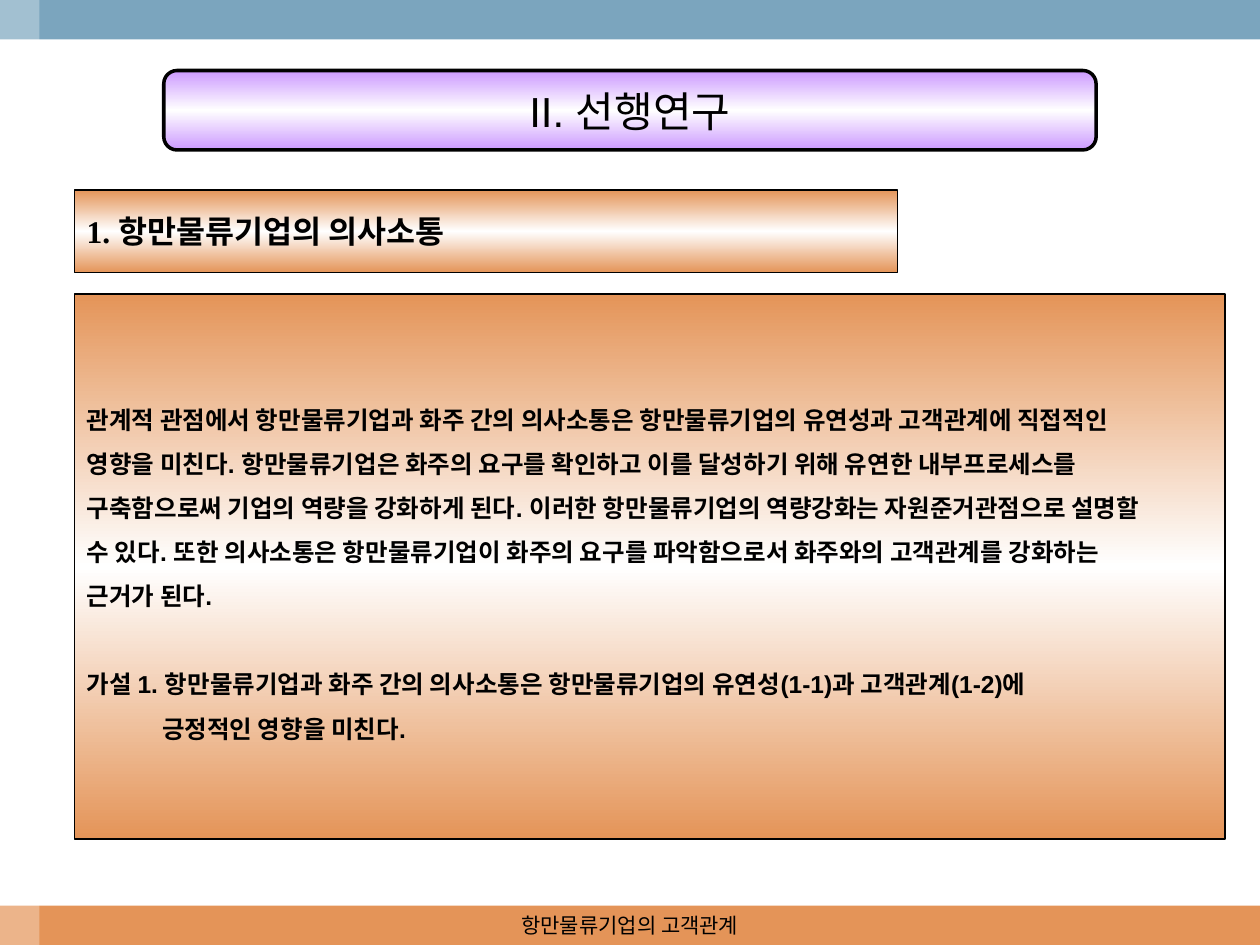
from copy import deepcopy
from dataclasses import dataclass, field

from lxml.etree import SubElement
from pptx import Presentation
from pptx.dml.color import RGBColor
from pptx.enum.shapes import MSO_SHAPE
from pptx.enum.text import MSO_ANCHOR, PP_ALIGN
from pptx.oxml.ns import qn
from pptx.util import Pt

WIDTH, HEIGHT, BAR = 720, 540, 22.5
ORANGE, BLUE, PURPLE, WHITE, BLACK = "E49458", "7BA5BE", "CC99FF", "FFFFFF", "000000"
BODY_LINE_PITCH = 25.2


@dataclass
class Line:
    """A line of text with its paragraph format."""
    text: str
    format: dict = field(default_factory=dict)
    indent: float = 0


@dataclass
class Band:
    """A solid bar along an edge of the slide."""
    box: tuple
    color: str
    opacity: int = 100


@dataclass
class Panel:
    """An outlined gradient panel with text."""
    box: tuple
    edge_color: str
    border: float
    font: dict
    lines: list
    kind: MSO_SHAPE = MSO_SHAPE.RECTANGLE


def rgb(color: str) -> RGBColor:
    """Turn a hex string into a colour."""
    return RGBColor.from_string(color)


def add_shape(slide, kind: MSO_SHAPE, box: tuple):
    """Add a shape without shadow, placed in points."""
    shape = slide.shapes.add_shape(kind, *map(Pt, box))
    shape.shadow.inherit = False
    return shape


def add_band(slide, band: Band) -> None:
    """Draw one edge bar."""
    shape = add_shape(slide, MSO_SHAPE.RECTANGLE, band.box)
    shape.fill.solid()
    shape.fill.fore_color.rgb = rgb(band.color)
    shape.line.fill.background()
    if band.opacity < 100:
        color = shape.element.spPr.find(".//" + qn("a:srgbClr"))
        SubElement(color, qn("a:alpha"), val=str(band.opacity * 1000))


def fill_gradient(shape, edge_color: str) -> None:
    """Fill from the edge colour to white and back, top to bottom."""
    shape.fill.gradient()
    shape.fill.gradient_angle = 90
    stop_list = shape.element.spPr.find(".//" + qn("a:gsLst"))
    stop_list.append(deepcopy(stop_list[0]))
    colors = (edge_color, WHITE, edge_color)
    for index, (stop, color) in enumerate(zip(shape.fill.gradient_stops, colors)):
        stop.position = index / 2
        stop.color.rgb = rgb(color)


def write_lines(frame, lines: list, font: dict) -> None:
    """Write lines as paragraphs in one font, centred vertically."""
    frame.word_wrap = True
    frame.vertical_anchor = MSO_ANCHOR.MIDDLE
    for index, line in enumerate(lines):
        paragraph = frame.add_paragraph() if index else frame.paragraphs[0]
        for name, value in ({"alignment": PP_ALIGN.LEFT} | line.format).items():
            setattr(paragraph, name, value)
        if line.indent:
            paragraph._p.get_or_add_pPr().set("marL", str(Pt(line.indent)))
        run = paragraph.add_run()
        run.text = line.text
        for name, value in font.items():
            setattr(run.font, name, value)
        run.font.color.rgb = rgb(BLACK)


def add_panel(slide, panel: Panel) -> None:
    """Draw one gradient panel and its text."""
    shape = add_shape(slide, panel.kind, panel.box)
    fill_gradient(shape, panel.edge_color)
    shape.line.color.rgb = rgb(BLACK)
    shape.line.width = Pt(panel.border)
    write_lines(shape.text_frame, panel.lines, panel.font)


def add_footer(slide) -> None:
    """Write the footer in the middle of the bottom bar."""
    width = 228
    box = ((WIDTH - width) / 2, HEIGHT - BAR, width, BAR)
    footer = slide.shapes.add_textbox(*map(Pt, box))
    line = Line("항만물류기업의 고객관계", CENTERED)
    write_lines(footer.text_frame, [line], {"name": "Cambria", "size": Pt(12)})


CENTERED = {"alignment": PP_ALIGN.CENTER}
SPACED = {"line_spacing": 1.5}
AFTER_GAP = SPACED | {"space_before": Pt(BODY_LINE_PITCH)}

BANDS = [
    Band((0, HEIGHT - BAR, WIDTH, BAR), ORANGE),
    Band((0, 0, WIDTH, BAR), BLUE),
    Band((0, 0, BAR, HEIGHT), WHITE, opacity=30),
]

BODY = [
    Line("관계적 관점에서 항만물류기업과 화주 간의 의사소통은 항만물류기업의 유연성과 고객관계에 직접적인", SPACED),
    Line("영향을 미친다. 항만물류기업은 화주의 요구를 확인하고 이를 달성하기 위해 유연한 내부프로세스를", SPACED),
    Line("구축함으로써 기업의 역량을 강화하게 된다. 이러한 항만물류기업의 역량강화는 자원준거관점으로 설명할", SPACED),
    Line("수 있다. 또한 의사소통은 항만물류기업이 화주의 요구를 파악함으로서 화주와의 고객관계를 강화하는", SPACED),
    Line("근거가 된다.", SPACED),
    Line("가설 1. 항만물류기업과 화주 간의 의사소통은 항만물류기업의 유연성(1-1)과 고객관계(1-2)에", AFTER_GAP),
    Line("긍정적인 영향을 미친다.", SPACED, indent=43),
]

PANELS = [
    Panel((93.6, 40.3, 532.8, 45.4), PURPLE, 2, {"name": "Arial", "size": Pt(24)},
          [Line("II. 선행연구", CENTERED)], MSO_SHAPE.ROUNDED_RECTANGLE),
    Panel((42.5, 108.5, 470.5, 47.3), ORANGE, 0.75,
          {"name": "Times New Roman", "size": Pt(18), "bold": True},
          [Line("1. 항만물류기업의 의사소통")]),
    Panel((42.5, 168, 657.5, 311.5), ORANGE, 0.75,
          {"name": "Arial", "size": Pt(14), "bold": True}, BODY),
]


def main() -> None:
    """Build and save the slide."""
    presentation = Presentation()
    presentation.slide_width, presentation.slide_height = Pt(WIDTH), Pt(HEIGHT)
    slide = presentation.slides.add_slide(presentation.slide_layouts[6])
    for band in BANDS:
        add_band(slide, band)
    add_footer(slide)
    for panel in PANELS:
        add_panel(slide, panel)
    presentation.save("out.pptx")


main()
